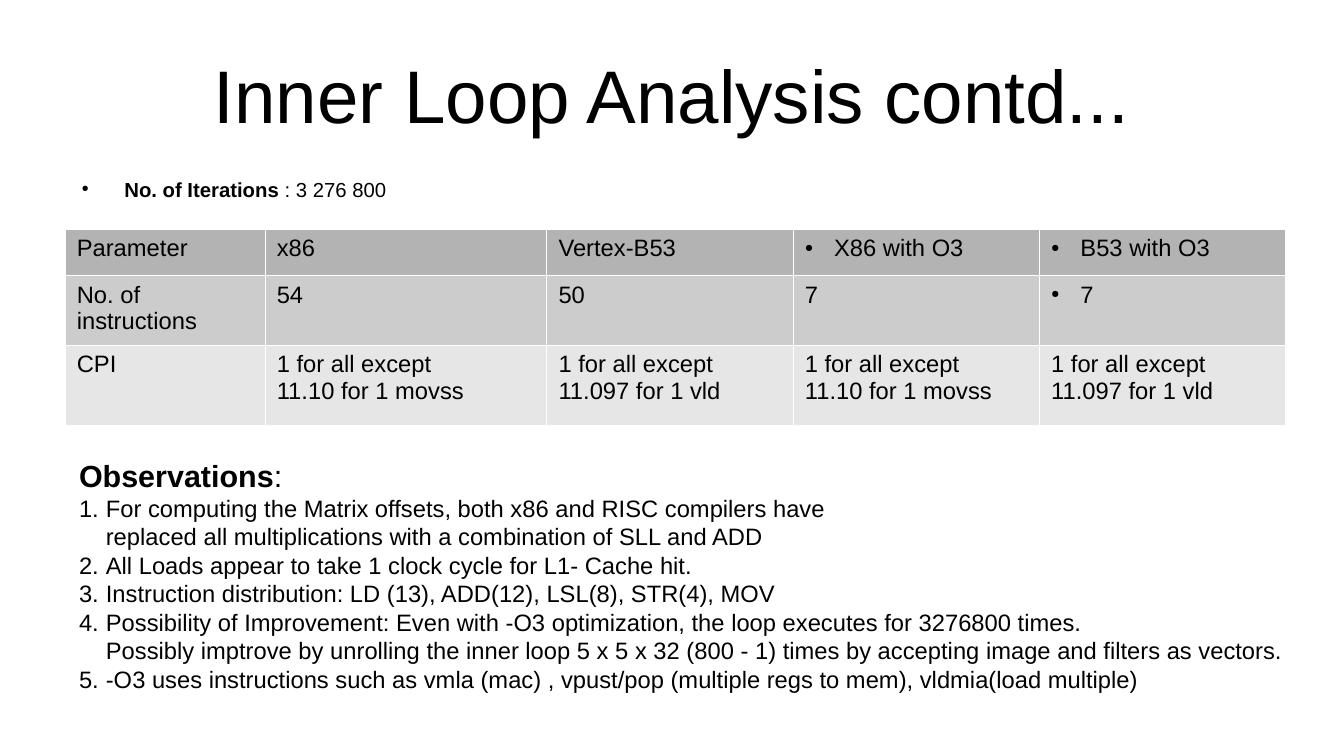
import lxml.etree
import pptx
import pptx.dml.color
import pptx.enum.text
import pptx.oxml.ns
import pptx.util

Inches = pptx.util.Inches
Pt = pptx.util.Pt
RGBColor = pptx.dml.color.RGBColor
Anchor = pptx.enum.text.MSO_ANCHOR
qn = pptx.oxml.ns.qn

BLACK = RGBColor(0x00, 0x00, 0x00)
WHITE = RGBColor(0xFF, 0xFF, 0xFF)
ROW_FILLS = [
    RGBColor(0xB3, 0xB3, 0xB3),
    RGBColor(0xCC, 0xCC, 0xCC),
    RGBColor(0xE6, 0xE6, 0xE6),
]

TITLE = "Inner Loop Analysis contd..."
ITERATIONS = ("No. of Iterations", " : 3 276 800")
X86_CPI = ["1 for all except", "11.10 for 1 movss"]
VERTEX_CPI = ["1 for all except", "11.097 for 1 vld"]
ROWS = [
    [["Parameter"], ["x86"], ["Vertex-B53"], ["X86 with O3"], ["B53 with O3"]],
    [["No. of instructions"], ["54"], ["50"], ["7"], ["7"]],
    [["CPI"], X86_CPI, VERTEX_CPI, X86_CPI, VERTEX_CPI],
]
BULLETED_CELLS = {(0, 3), (0, 4), (1, 4)}
COLUMN_WIDTHS = [1.64, 2.31, 2.02, 2.02, 2.02]
ROW_HEIGHTS = [0.38, 0.54, 0.66]
OBSERVATIONS_HEADING = ("Observations", ":")
OBSERVATIONS = [
    "For computing the Matrix offsets, both x86 and RISC compilers have\v"
    "replaced all multiplications with a combination of SLL and ADD",
    "All Loads appear to take 1 clock cycle for L1- Cache hit.",
    "Instruction distribution: LD (13), ADD(12), LSL(8), STR(4), MOV",
    "Possibility of Improvement: Even with -O3 optimization, the loop executes for 3276800 times.\v"
    "Possibly imptrove by unrolling the inner loop 5 x 5 x 32 (800 - 1) times"
    " by accepting image and filters as vectors.",
    "-O3 uses instructions such as vmla (mac) , vpust/pop (multiple regs to mem),"
    " vldmia(load multiple)",
]


def style_runs(paragraph, size):
    for run in paragraph.runs:
        for name, value in {"name": "Arial", "size": Pt(size)}.items():
            setattr(run.font, name, value)
        run.font.color.rgb = BLACK


def add_label(paragraph, parts, size):
    """Write a bold label followed by plain text."""
    for text, bold in zip(parts, (True, False)):
        run = paragraph.add_run()
        run.text = text
        run.font.bold = bold
    style_runs(paragraph, size)


def set_hanging(paragraph, left, hang):
    properties = paragraph._p.get_or_add_pPr()
    properties.set("marL", str(Inches(left)))
    properties.set("indent", str(-Inches(hang)))
    return properties


def add_bullet(paragraph, left, hang):
    properties = set_hanging(paragraph, left, hang)
    color = lxml.etree.SubElement(properties, qn("a:buClr"))
    lxml.etree.SubElement(color, qn("a:srgbClr"), val=str(BLACK))
    lxml.etree.SubElement(properties, qn("a:buSzPct"), val="45000")
    lxml.etree.SubElement(properties, qn("a:buChar"), char="●")


def add_number(paragraph, hang):
    properties = set_hanging(paragraph, hang, hang)
    lxml.etree.SubElement(properties, qn("a:buFont"), typeface="Arial")
    lxml.etree.SubElement(properties, qn("a:buAutoNum"), type="arabicPeriod")


def add_text_frame(slide, box, margins=(0, 0), anchor=Anchor.TOP):
    frame = slide.shapes.add_textbox(*map(Inches, box)).text_frame
    horizontal, vertical = map(Inches, margins)
    settings = {
        "word_wrap": True,
        "vertical_anchor": anchor,
        "margin_left": horizontal,
        "margin_right": horizontal,
        "margin_top": vertical,
        "margin_bottom": vertical,
    }
    for name, value in settings.items():
        setattr(frame, name, value)
    return frame


def add_borders(cell):
    """Draw thin white lines on all sides; they must precede the cell fill."""
    properties = cell._tc.get_or_add_tcPr()
    for side in ("a:lnL", "a:lnR", "a:lnT", "a:lnB"):
        line = lxml.etree.SubElement(properties, qn(side), w=str(Pt(0.06)))
        fill = lxml.etree.SubElement(line, qn("a:solidFill"))
        lxml.etree.SubElement(fill, qn("a:srgbClr"), val=str(WHITE))


def add_parameter_table(slide):
    box = (0.53, 1.88, sum(COLUMN_WIDTHS), sum(ROW_HEIGHTS))
    table = slide.shapes.add_table(len(ROWS), len(COLUMN_WIDTHS), *map(Inches, box)).table
    table.first_row = table.horz_banding = False
    for column, width in zip(table.columns, COLUMN_WIDTHS):
        column.width = Inches(width)
    for row, height in zip(table.rows, ROW_HEIGHTS):
        row.height = Inches(height)
    for row_index, (row, row_fill) in enumerate(zip(ROWS, ROW_FILLS)):
        for column_index, lines in enumerate(row):
            cell = table.cell(row_index, column_index)
            add_borders(cell)
            cell.fill.solid()
            cell.fill.fore_color.rgb = row_fill
            cell.text = "\n".join(lines)
            for paragraph in cell.text_frame.paragraphs:
                if (row_index, column_index) in BULLETED_CELLS:
                    add_bullet(paragraph, 0.24, 0.24)
                style_runs(paragraph, 14)


def add_observations(slide):
    frame = add_text_frame(slide, (0.55, 3.7, 10.3, 2.34), margins=(0.1, 0.05))
    add_label(frame.paragraphs[0], OBSERVATIONS_HEADING, 18)
    for observation in OBSERVATIONS:
        paragraph = frame.add_paragraph()
        paragraph.text = observation
        paragraph.line_spacing = Pt(16.8)
        add_number(paragraph, 0.22)
        style_runs(paragraph, 14)


def main():
    presentation = pptx.Presentation()
    presentation.slide_width = Inches(11.02)
    presentation.slide_height = Inches(6.2)
    slide = presentation.slides.add_slide(presentation.slide_layouts[6])

    title = add_text_frame(slide, (0.55, 0.25, 9.92, 1.04), anchor=Anchor.MIDDLE).paragraphs[0]
    title.text = TITLE
    title.alignment = pptx.enum.text.PP_ALIGN.CENTER
    style_runs(title, 44)

    iterations = add_text_frame(slide, (0.55, 1.45, 9.92, 0.3)).paragraphs[0]
    add_bullet(iterations, 0.47, 0.35)
    add_label(iterations, ITERATIONS, 12)

    add_parameter_table(slide)
    add_observations(slide)
    presentation.save("out.pptx")


if __name__ == "__main__":
    main()
